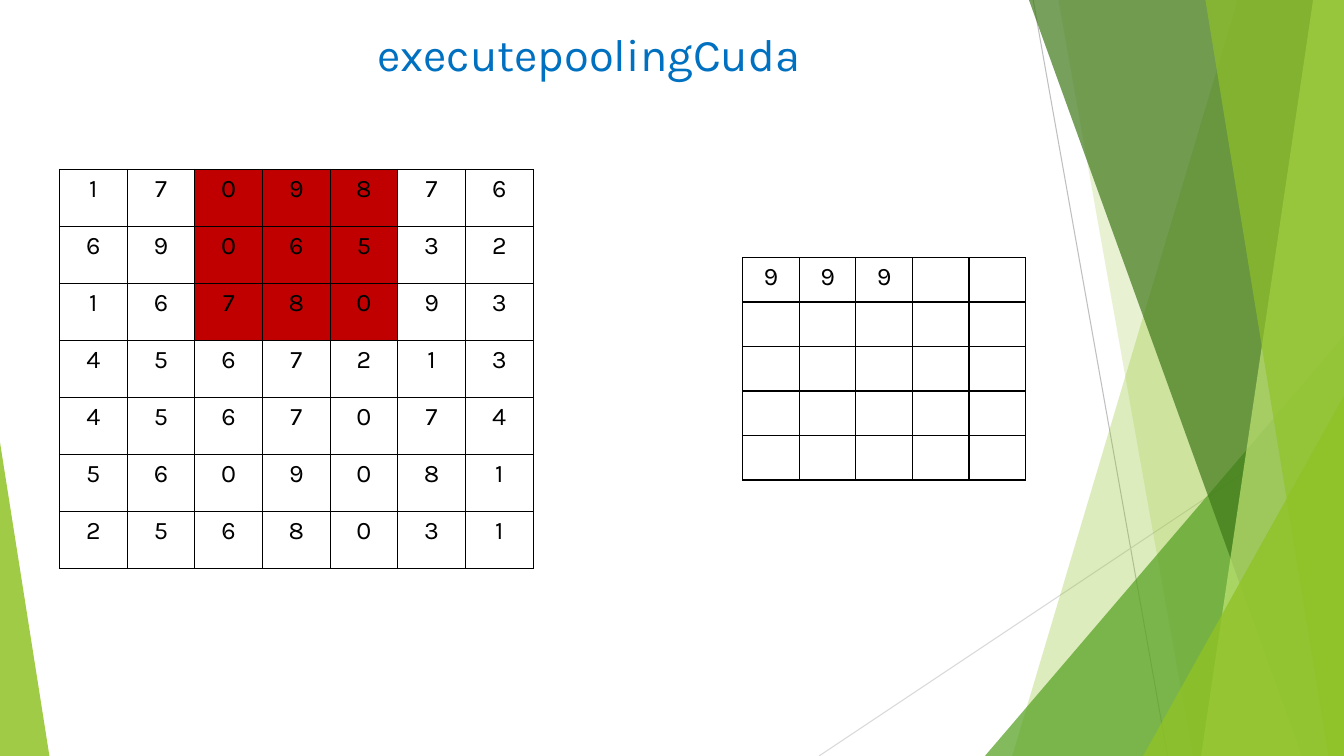
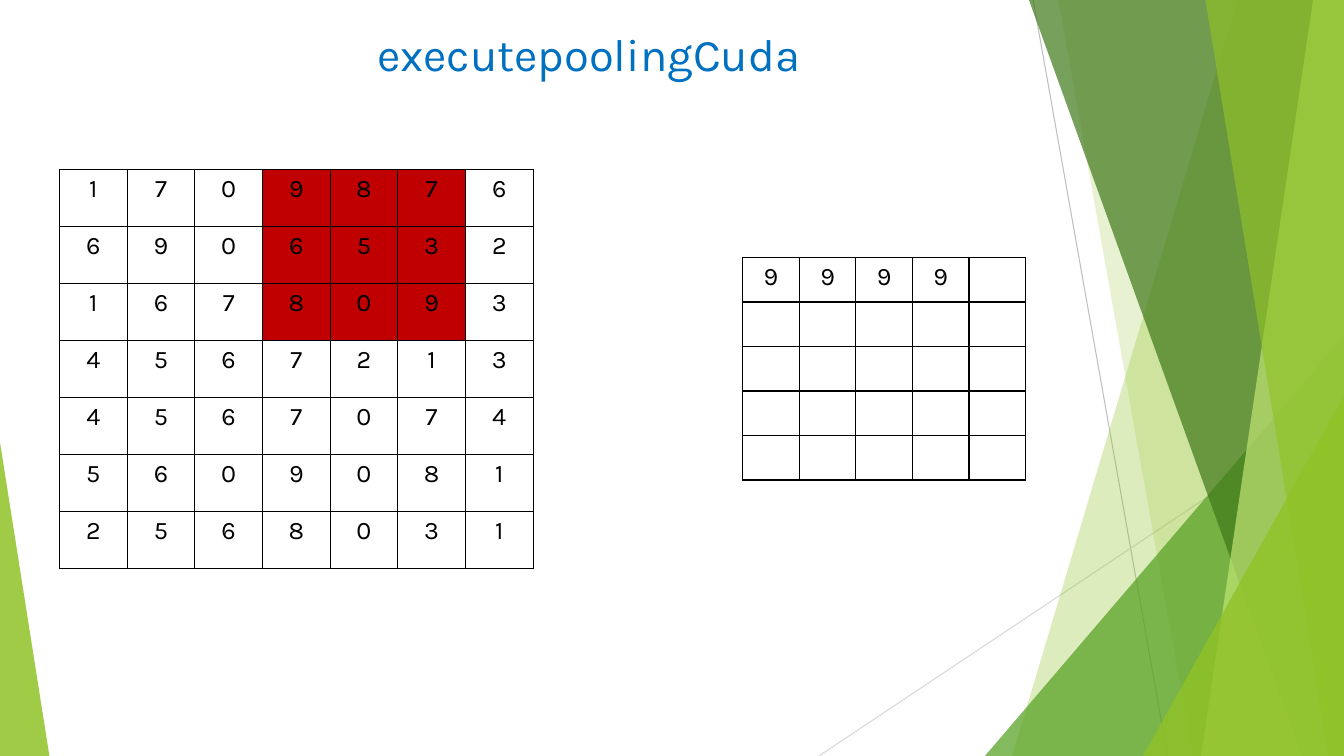
from dataclasses import dataclass

from lxml import etree
from pptx import Presentation
from pptx.dml.color import RGBColor
from pptx.enum import shapes as kinds, text as txt
from pptx.oxml.ns import qn
from pptx.util import Pt


@dataclass(frozen=True)
class Theme:
    font: str = "Karla"
    title_size: float = 32.4
    cell_size: float = 18
    title: str = "0070C0"
    ink: str = "000000"
    paper: str = "FFFFFF"
    window: str = "C00000"
    lime: str = "90C226"
    pale_lime: str = "C0E474"
    green: str = "54A021"
    dark_green: str = "3F7819"
    line: str = "BFBFBF"
    light_line: str = "D9D9D9"
    border_width: float = 1
    line_width: float = 0.75


THEME = Theme()
WIDTH, HEIGHT = 960, 540
TITLE = "executepoolingCuda"
POOL = 3
INPUT = [
    [1, 7, 0, 9, 8, 7, 6],
    [6, 9, 0, 6, 5, 3, 2],
    [1, 6, 7, 8, 0, 9, 3],
    [4, 5, 6, 7, 2, 1, 3],
    [4, 5, 6, 7, 0, 7, 4],
    [5, 6, 0, 9, 0, 8, 1],
    [2, 5, 6, 8, 0, 3, 1],
]


def rgb(color):
    return RGBColor.from_string(color)


def write_text(frame, content, *, size, color, align=txt.PP_ALIGN.CENTER,
               anchor=None):
    frame.word_wrap = True
    if anchor is not None:
        frame.vertical_anchor = anchor
    paragraph = frame.paragraphs[0]
    paragraph.alignment = align
    run = paragraph.add_run()
    run.text = content
    run.font.name = THEME.font
    run.font.size = Pt(size)
    run.font.color.rgb = rgb(color)


def paint(facet, color, opacity):
    """Fill a facet with a see-through colour, without outline or shadow."""
    facet.shadow.inherit = False
    facet.line.fill.background()
    facet.fill.solid()
    facet.fill.fore_color.rgb = rgb(color)
    tint = facet.element.spPr.find(qn("a:solidFill"))[0]
    etree.SubElement(tint, qn("a:alpha"), val=str(opacity * 1000))


def add_ray(shapes, start, end, color):
    ray = shapes.add_connector(kinds.MSO_CONNECTOR.STRAIGHT,
                               *map(Pt, start + end))
    ray.line.color.rgb = rgb(color)
    ray.line.width = Pt(THEME.line_width)
    etree.SubElement(ray.element.spPr, qn("a:effectLst"))


def add_band(shapes, top_x, bottom_x, color, opacity):
    """Full-height band from a slanted left edge to the slide's right edge."""
    outline = shapes.build_freeform(top_x, 0, scale=Pt(1))
    outline.add_line_segments(
        [(WIDTH, 0), (WIDTH, HEIGHT), (bottom_x, HEIGHT)], close=True)
    paint(outline.convert_to_shape(), color, opacity)


def add_corner(shapes, left, top, width, apex, color, opacity):
    """Triangle standing on the slide's bottom edge."""
    corner = shapes.add_shape(kinds.MSO_SHAPE.ISOSCELES_TRIANGLE, Pt(left),
                              Pt(top), Pt(width), Pt(HEIGHT - top))
    corner.adjustments[0] = apex
    paint(corner, color, opacity)


def decorate(layout, slide):
    """Draw the facets on a slide, then move them to its layout."""
    shapes = slide.shapes
    existing = set(shapes.element)
    add_ray(shapes, (738, 0), (834, HEIGHT), THEME.line)
    add_ray(shapes, (WIDTH, 290), (585, HEIGHT), THEME.light_line)
    add_band(shapes, 884, 723, THEME.lime, 30)
    add_band(shapes, 756, 852, THEME.lime, 20)
    add_corner(shapes, 703.5, 240, 256.5, 1, THEME.green, 72)
    add_band(shapes, 735, 930, THEME.dark_green, 70)
    add_band(shapes, 938, 858, THEME.pale_lime, 70)
    add_band(shapes, 861, 949, THEME.lime, 65)
    add_corner(shapes, 816.5, 283, 143.5, 1, THEME.lime, 80)
    add_corner(shapes, 0, 316, 35.3, 0, THEME.lime, 85)
    for element in list(shapes.element):
        if element not in existing:
            layout.shapes.element.append(element)


def add_title(slide, content):
    title = slide.shapes.title
    title.left, title.top, title.width, title.height = map(
        Pt, (82, 12.2, 677, 52))
    write_text(title.text_frame, content, size=THEME.title_size,
               color=THEME.title, anchor=txt.MSO_ANCHOR.MIDDLE)


def set_borders(cell):
    properties = cell._tc.get_or_add_tcPr()
    for index, side in enumerate(("lnL", "lnR", "lnT", "lnB")):
        border = etree.Element(qn(f"a:{side}"),
                               w=str(Pt(THEME.border_width)))
        fill = etree.SubElement(border, qn("a:solidFill"))
        etree.SubElement(fill, qn("a:srgbClr"), val=THEME.ink)
        properties.insert(index, border)


def add_matrix(slide, values, left, top, cell_width, cell_height,
               highlighted=()):
    rows, columns = len(values), len(values[0])
    matrix = slide.shapes.add_table(
        rows, columns, Pt(left), Pt(top),
        Pt(cell_width * columns), Pt(cell_height * rows)).table
    matrix.first_row = matrix.horz_banding = False
    for column in matrix.columns:
        column.width = Pt(cell_width)
    for row in matrix.rows:
        row.height = Pt(cell_height)
    for r, row_values in enumerate(values):
        for c, value in enumerate(row_values):
            cell = matrix.cell(r, c)
            cell.fill.solid()
            cell.fill.fore_color.rgb = rgb(
                THEME.window if (r, c) in highlighted else THEME.paper)
            set_borders(cell)
            if value is not None:
                write_text(cell.text_frame, str(value),
                           size=THEME.cell_size, color=THEME.ink)


def window_cells(start):
    return {(r, c) for r in range(POOL) for c in range(start, start + POOL)}


def pooled_values(start):
    """Maxima of the first row of windows, up to the one at start."""
    side = len(INPUT) - POOL + 1
    pooled = [[None] * side for _ in range(side)]
    for c in range(start + 1):
        pooled[0][c] = max(INPUT[r][k] for r, k in window_cells(c))
    return pooled


def main():
    deck = Presentation()
    deck.slide_width, deck.slide_height = Pt(WIDTH), Pt(HEIGHT)
    layout = deck.slide_layouts.get_by_name("Title Only")
    for window_start in (2, 3):
        slide = deck.slides.add_slide(layout)
        if len(deck.slides) == 1:
            decorate(layout, slide)
        add_title(slide, TITLE)
        add_matrix(slide, INPUT, 42.5, 121, 48.35, 40.73,
                   window_cells(window_start))
        add_matrix(slide, pooled_values(window_start), 530.5, 184,
                   40.45, 31.8)
    deck.save("out.pptx")


if __name__ == "__main__":
    main()
